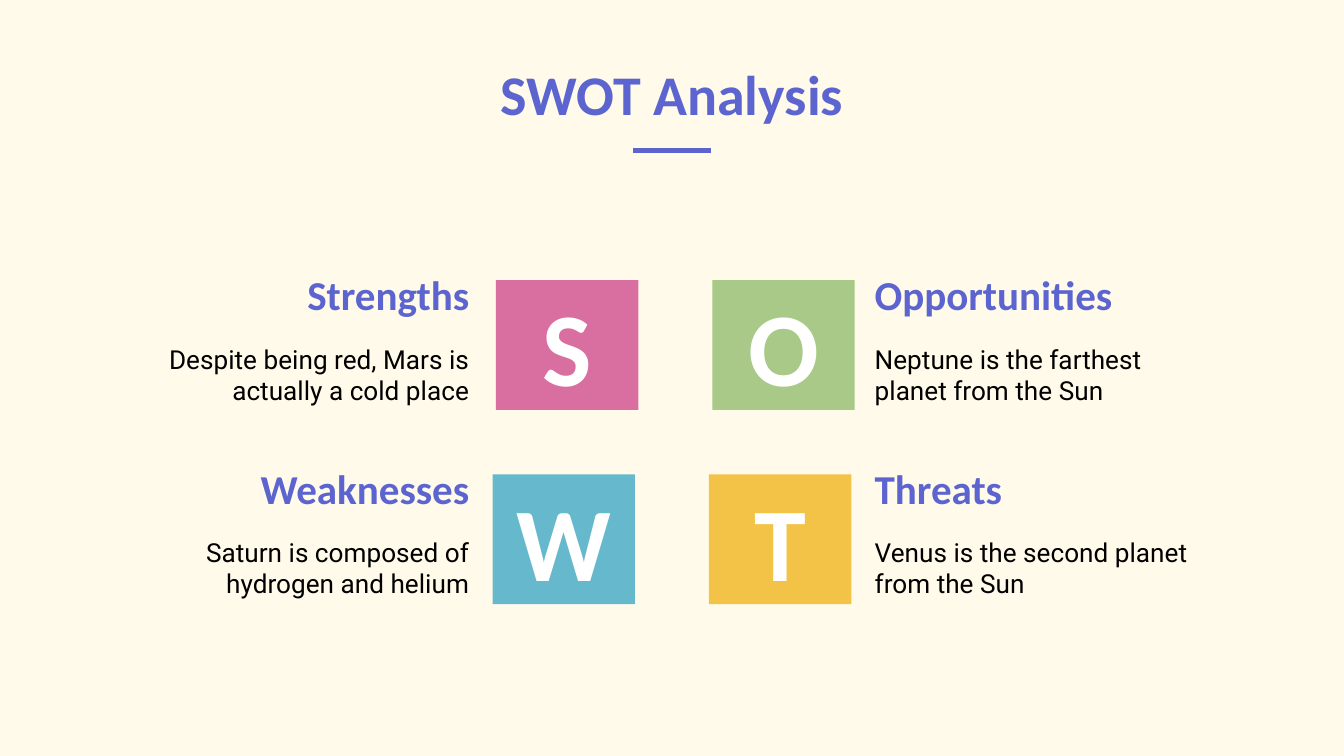
"""Build a SWOT analysis slide with four lettered cards."""
from dataclasses import dataclass

from lxml.etree import SubElement
from pptx import Presentation
from pptx.dml.color import RGBColor
from pptx.enum.shapes import MSO_CONNECTOR, MSO_SHAPE
from pptx.enum.text import MSO_ANCHOR, MSO_AUTO_SIZE, PP_ALIGN
from pptx.oxml.ns import qn
from pptx.shapes.base import BaseShape
from pptx.slide import Slide
from pptx.util import Emu, Pt

SCALE = 4572
HEX = {
    "cream": "FFFAEA", "indigo": "5C65CF", "black": "000000", "white": "FFFFFF",
    "pink": "D96FA0", "green": "A8C987", "blue": "66B9CC", "gold": "F3C347",
}


@dataclass(frozen=True)
class Card:
    head: str
    body: str
    fill: str
    row: int
    left: int
    tile: int
    align: PP_ALIGN


CARDS = (
    Card("Strengths", "Despite being red, Mars is actually a cold place",
         "pink", 0, 188, 738, PP_ALIGN.RIGHT),
    Card("Weaknesses", "Saturn is composed of hydrogen and helium",
         "blue", 1, 188, 733, PP_ALIGN.RIGHT),
    Card("Opportunities", "Neptune is the farthest planet from the Sun",
         "green", 0, 1282, 1060, PP_ALIGN.LEFT),
    Card("Threats", "Venus is the second planet from the Sun",
         "gold", 1, 1282, 1055, PP_ALIGN.LEFT),
)


def px(*nums: int) -> list[Emu]:
    return [Emu(num * SCALE) for num in nums]


def tint(name: str) -> RGBColor:
    return RGBColor.from_string(HEX[name])


def write(shape: BaseShape, text: str, *, size: int, color: str = "indigo",
          face: str = "Calibri", bold: bool = True,
          align: PP_ALIGN = PP_ALIGN.CENTER,
          anchor: MSO_ANCHOR = MSO_ANCHOR.BOTTOM) -> None:
    frame = shape.text_frame
    frame.text = text
    frame.word_wrap = True
    frame.auto_size = MSO_AUTO_SIZE.NONE
    frame.vertical_anchor = anchor
    for side in ("left", "right", "top", "bottom"):
        setattr(frame, f"margin_{side}", Emu(20 * SCALE))
    para = frame.paragraphs[0]
    para.alignment = align
    font = para.runs[0].font
    font.name, font.size, font.bold = face, Pt(size), bold
    font.color.rgb = tint(color)


def add_title(slide: Slide) -> None:
    title = slide.shapes.title
    title.left, title.top, title.width, title.height = px(156, 43, 1688, 166)
    write(title, "SWOT Analysis", size=30)
    rule = slide.shapes.add_connector(
        MSO_CONNECTOR.STRAIGHT, *px(942, 224, 1058, 224))
    rule.line.color.rgb = tint("indigo")
    rule.line.width = Pt(3)
    SubElement(rule._element.spPr, qn("a:effectLst"))


def add_card(slide: Slide, card: Card) -> None:
    shapes = slide.shapes
    head = shapes.add_textbox(*px(card.left, 330 + 289 * card.row, 530, 164))
    write(head, card.head, size=22, align=card.align)
    body = shapes.add_textbox(*px(card.left, 491 + 287 * card.row, 530, 164))
    write(body, card.body, size=14, color="black", face="Roboto", bold=False,
          align=card.align, anchor=MSO_ANCHOR.TOP)
    tile = shapes.add_shape(
        MSO_SHAPE.RECTANGLE, *px(card.tile, 417 + 289 * card.row, 212, 193))
    tile.shadow.inherit = False
    tile.fill.solid()
    tile.fill.fore_color.rgb = tint(card.fill)
    tile.line.fill.background()
    write(tile, card.head[0], size=56, color="white", anchor=MSO_ANCHOR.MIDDLE)


def main() -> None:
    deck = Presentation()
    deck.slide_width, deck.slide_height = px(2000, 1125)
    slide = deck.slides.add_slide(deck.slide_layouts[5])
    slide.background.fill.solid()
    slide.background.fill.fore_color.rgb = tint("cream")
    add_title(slide)
    for card in CARDS:
        add_card(slide, card)
    deck.save("out.pptx")


if __name__ == "__main__":
    main()
